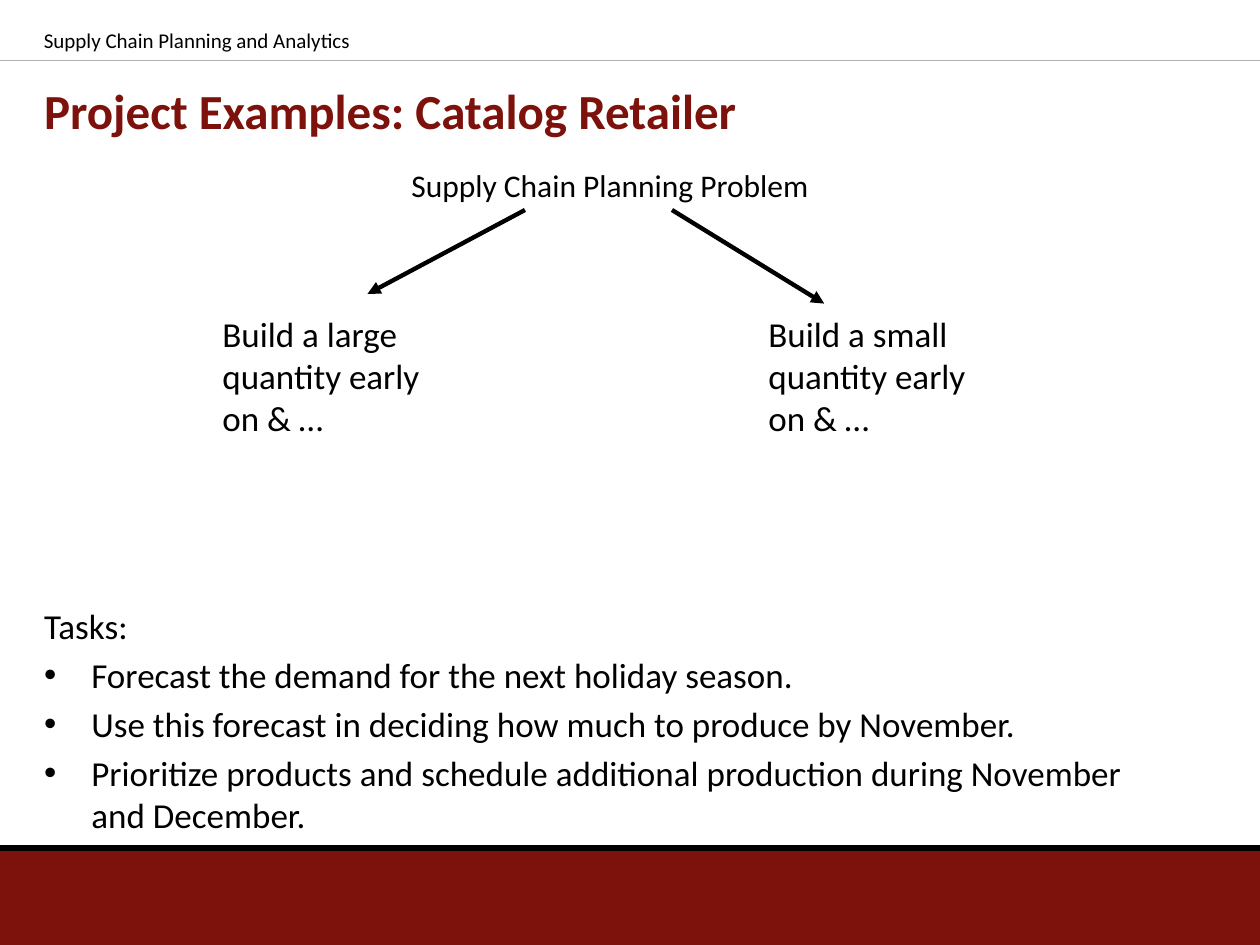
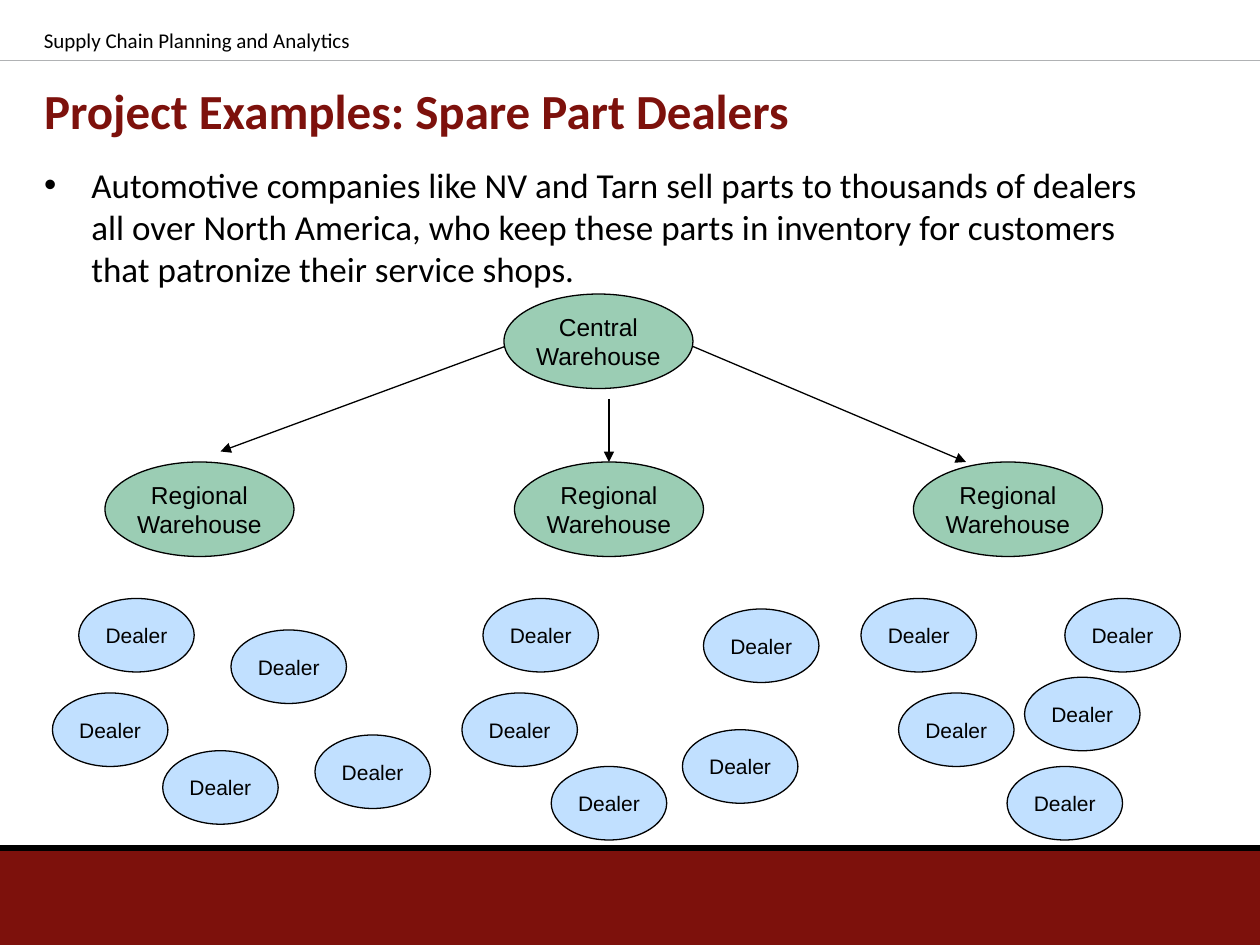
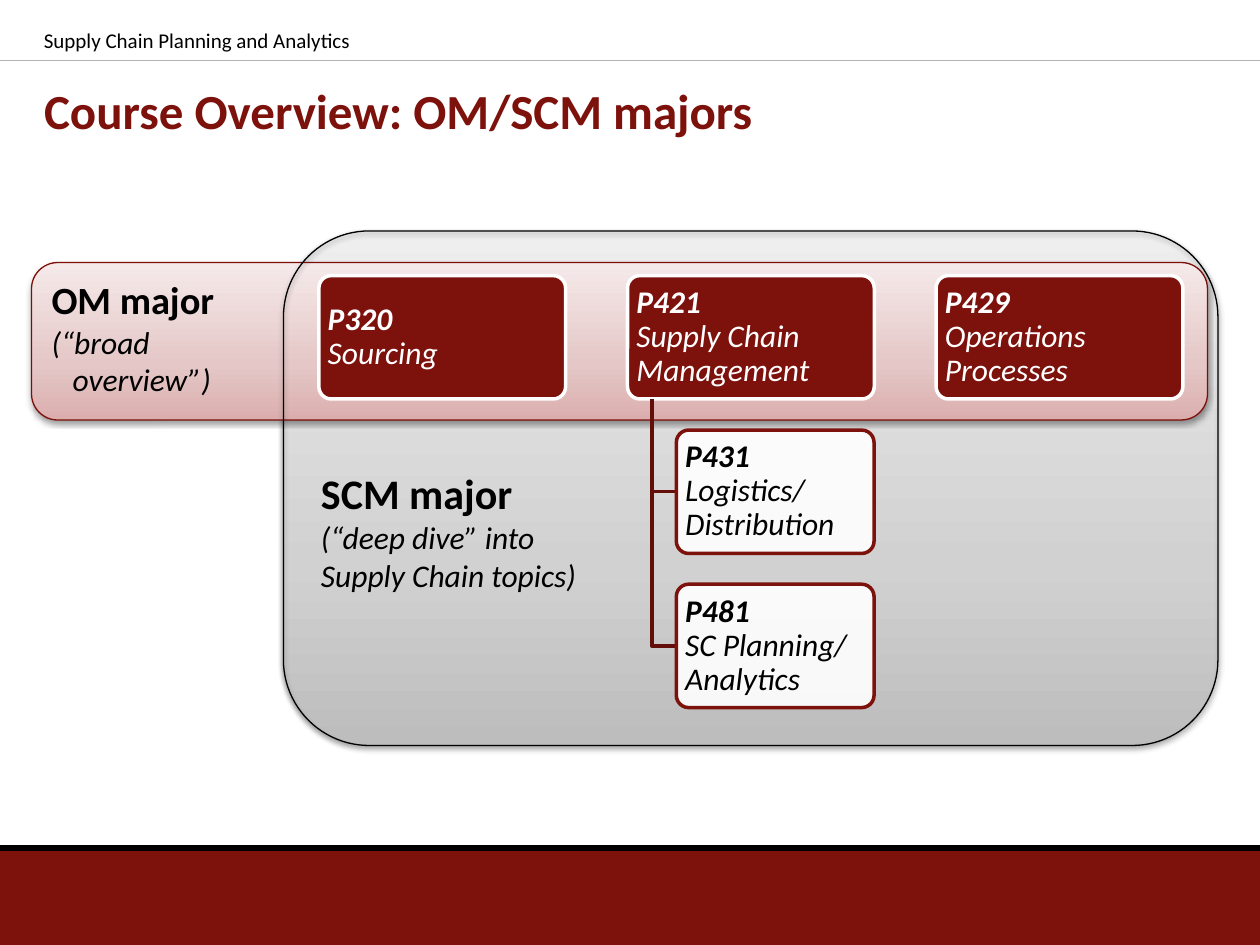
from dataclasses import dataclass

from pptx import Presentation
from pptx.dml.color import RGBColor
from pptx.enum.shapes import MSO_CONNECTOR as Line, MSO_SHAPE as Kind
from pptx.enum.text import MSO_ANCHOR as Anchor, MSO_AUTO_SIZE as Fit, PP_ALIGN as Align
from pptx.oxml.ns import qn
from pptx.util import Pt
from lxml.etree import SubElement


@dataclass(frozen=True)
class Theme:
    text_font: str = "Calibri"
    diagram_font: str = "Arial"
    black: str = "000000"
    white: str = "FFFFFF"
    crimson: str = "7D110C"
    crimson_edge: str = "7D0E09"
    crimson_link: str = "640E0A"
    rule: str = "B0B2B4"
    warehouse: str = "339966"
    dealer: str = "99CCFF"
    grey_blend: tuple = ((0, "BDBDBD"), (35, "D1D1D1"), (100, "EEEEEE"))
    pink_blend: tuple = ((0, "DBAEAE"), (35, "E5C7C7"), (100, "F5E9E9"))
    title_size: int = 28
    scm_size: int = 24
    om_size: int = 22
    body_size: int = 20
    note_size: int = 18
    warehouse_size: int = 14
    small_size: int = 12


def assign(target, values):
    for name, value in values.items():
        setattr(target, name, value)


def place(shape, left, top, width, height):
    assign(shape, {"left": Pt(left), "top": Pt(top), "width": Pt(width), "height": Pt(height)})


class Deck:
    def __init__(self, theme):
        self.theme = theme
        self.deck = Presentation()
        assign(self.deck, {"slide_width": Pt(720), "slide_height": Pt(540)})
        self.page = None

    def add_page(self, title, has_list=False):
        theme = self.theme
        self.page = self.deck.slides.add_slide(self.deck.slide_layouts[1 if has_list else 5])
        if len(self.deck.slides) == 1:
            self.add_master_bands()
        heading = self.page.shapes.title
        place(heading, 18, 42, 661.5, 42)
        self.fill_text(heading.text_frame, [title], {"vertical_anchor": Anchor.MIDDLE, "auto_size": Fit.NONE},
                       size=theme.title_size, color=theme.crimson, bold=True)
        self.add_text("Supply Chain Planning and Analytics", (18, 12, 390, 24), theme.small_size)

    def add_master_bands(self):
        theme = self.theme
        bands = [
            self.add_box(Kind.RECTANGLE, (0, 486, 720, 54), fill=theme.crimson),
            self.add_line((0, 34.75), (720, 34.75), theme.rule, 0.75),
            self.add_line((0, 484.5), (720, 484.5), theme.black, 3.75),
        ]
        for number, band in enumerate(bands, start=10):
            band.element.xpath(".//p:cNvPr")[0].set("id", str(number))
            self.deck.slide_master.element.cSld.spTree.append(band.element)

    def fill_text(self, frame, lines, frame_values=None, align=Align.LEFT, spacing=None, **look):
        theme = self.theme
        base = {"name": theme.text_font, "color": theme.black, **look}
        assign(frame, {"word_wrap": True, **(frame_values or {})})
        for index, line in enumerate(lines):
            text, changes = (line, {}) if isinstance(line, str) else line
            values = {**base, **changes}
            para = frame.add_paragraph() if index else frame.paragraphs[0]
            para.alignment = align
            if spacing:
                para.line_spacing = spacing
            span = para.add_run()
            span.text = text
            span.font.color.rgb = RGBColor.from_string(values.pop("color"))
            values["size"] = Pt(values["size"])
            assign(span.font, values)

    def indent(self, para, points):
        properties = para._p.get_or_add_pPr()
        properties.set("marL", str(Pt(points)))
        properties.set("indent", "0")
        return properties

    def add_text(self, text, area, size, wrap=True, fit=Fit.NONE):
        box = self.page.shapes.add_textbox(*map(Pt, area))
        self.fill_text(box.text_frame, [text], {"word_wrap": wrap, "auto_size": fit}, size=size)

    def add_list(self, lines, area, has_lead=False):
        body = self.page.placeholders[1]
        place(body, *area)
        self.fill_text(body.text_frame, lines, {"auto_size": Fit.NONE}, size=self.theme.body_size)
        if has_lead:
            SubElement(self.indent(body.text_frame.paragraphs[0], 0), qn("a:buNone"))

    def add_box(self, kind, area, fill=None, alpha=None, blend=None, edge=None, weight=0.75,
                corner=None, shadow=False):
        box = self.page.shapes.add_shape(kind, *map(Pt, area))
        self.paint(box, fill, alpha, blend)
        self.outline(box.line, edge, weight)
        box.shadow.inherit = False
        if corner:
            box.adjustments[0] = corner
        if shadow:
            effects = box.element.spPr.find(qn("a:effectLst"))
            outer = SubElement(effects, qn("a:outerShdw"), blurRad="40000", dist="20000",
                               dir="5400000", rotWithShape="0")
            color = SubElement(outer, qn("a:srgbClr"), val=self.theme.black)
            SubElement(color, qn("a:alpha"), val="38000")
        return box

    def paint(self, box, fill, alpha, blend):
        if blend:
            box.fill.gradient()
            box.fill.gradient_angle = 90
            stops = next(box.element.spPr.iter(qn("a:gsLst")))
            for stop in list(stops):
                stops.remove(stop)
            for position, color in blend:
                stop = SubElement(stops, qn("a:gs"), pos=str(position * 1000))
                SubElement(stop, qn("a:srgbClr"), val=color)
        elif fill:
            box.fill.solid()
            box.fill.fore_color.rgb = RGBColor.from_string(fill)
            if alpha:
                color = next(box.element.spPr.iter(qn("a:srgbClr")))
                SubElement(color, qn("a:alpha"), val=str(alpha * 1000))
        else:
            box.fill.background()

    def outline(self, line, color, weight):
        if color:
            line.color.rgb = RGBColor.from_string(color)
            line.width = Pt(weight)
        else:
            line.fill.background()

    def add_line(self, start, end, color, weight, arrow=False):
        line = self.page.shapes.add_connector(Line.STRAIGHT, *map(Pt, start + end))
        self.outline(line.line, color, weight)
        if arrow:
            SubElement(line.element.spPr.find(qn("a:ln")), qn("a:tailEnd"), type="triangle")
        SubElement(line.element.spPr, qn("a:effectLst"))
        return line

    def add_arrow(self, start, end, weight=0.75):
        return self.add_line(start, end, self.theme.black, weight, arrow=True)

    def add_oval(self, lines, area, fill, alpha, size):
        oval = self.add_box(Kind.OVAL, area, fill, alpha, edge=self.theme.black)
        self.fill_text(oval.text_frame, lines, {"word_wrap": False, "vertical_anchor": Anchor.MIDDLE},
                       align=Align.CENTER, size=size, name=self.theme.diagram_font)
        return oval

    def add_warehouse(self, rank, left, top):
        theme = self.theme
        return self.add_oval([rank, "Warehouse"], (left, top, 108, 54), theme.warehouse, 49,
                             theme.warehouse_size)

    def add_dealer(self, left, top):
        theme = self.theme
        self.add_oval(["Dealer"], (left, top, 66, 42), theme.dealer, 60, theme.small_size)

    def add_course(self, code, name, area, fill, edge, color, alpha=None):
        course = self.add_box(Kind.ROUNDED_RECTANGLE, area, fill, alpha, edge=edge, weight=2, corner=0.1)
        margins = {"margin_left": Pt(3), "margin_right": Pt(3), "margin_top": Pt(2), "margin_bottom": Pt(2)}
        self.fill_text(course.text_frame, [(code, {"bold": True}), *name],
                       {"vertical_anchor": Anchor.MIDDLE, **margins}, spacing=0.9,
                       size=self.theme.note_size, color=color, italic=True)

    def add_elbow(self, start, corner, end):
        builder = self.page.shapes.build_freeform(*map(Pt, start))
        builder.add_line_segments([tuple(map(Pt, corner)), tuple(map(Pt, end))], close=False)
        elbow = builder.convert_to_shape()
        elbow.fill.background()
        self.outline(elbow.line, self.theme.crimson_link, 2)
        elbow.shadow.inherit = False


def build_retailer(deck):
    theme = deck.theme
    deck.add_page("Project Examples: Catalog Retailer", has_list=True)
    deck.add_text("Supply Chain Planning Problem", (228, 91.5, 249, 29), theme.note_size,
                  wrap=False, fit=Fit.SHAPE_TO_FIT_TEXT)
    for quantity, left in (("large", 120), ("small", 432)):
        deck.add_text(f"Build a {quantity} quantity early on & …", (left, 175, 151, 80),
                      theme.body_size, fit=Fit.SHAPE_TO_FIT_TEXT)
    deck.add_arrow((300, 120), (210, 168), 2.5)
    deck.add_arrow((384, 120), (471, 173.5), 2.5)
    deck.add_list([
        "Tasks:",
        "Forecast the demand for the next holiday season.",
        "Use this forecast in deciding how much to produce by November.",
        "Prioritize products and schedule additional production during November and December.",
    ], (18, 342, 661.5, 121.5), has_lead=True)


def build_dealers(deck):
    deck.add_page("Project Examples: Spare Part Dealers", has_list=True)
    deck.add_list([
        "Automotive companies like NV and Tarn sell parts to thousands of dealers all over North America, "
        "who keep these parts in inventory for customers that patronize their service shops.",
    ], (18, 90, 661.5, 373.5))
    deck.add_warehouse("Central", 288, 168)
    regions = [deck.add_warehouse("Regional", left, 264) for left in (60, 294, 522)]
    deck.add_arrow((288.5, 198), (126, 258))
    deck.add_arrow((348, 228), (348, 264)).end_connect(regions[1], 0)
    deck.add_arrow((396, 198), (552, 264))
    dealers = [
        (93, 429), (30, 396), (132, 360), (180, 420), (45, 342),
        (315, 438), (264, 396), (402, 348), (390, 417), (276, 342),
        (575.5, 438), (513.5, 396), (608.5, 342), (585.5, 387), (492, 342),
    ]
    for left, top in dealers:
        deck.add_dealer(left, top)


def build_majors(deck):
    theme = deck.theme
    note = {"size": theme.note_size, "italic": True, "bold": False}
    deck.add_page("Course Overview: OM/SCM majors")

    scm_area = (162, 132, 534, 294)
    scm = deck.add_box(Kind.ROUNDED_RECTANGLE, scm_area, blend=theme.grey_blend, shadow=True)
    deck.fill_text(scm.text_frame, ["SCM major", ("(“deep dive” into", note), ("Supply Chain topics)", note)],
                   {"vertical_anchor": Anchor.TOP, "margin_top": Pt(121)}, size=theme.scm_size, bold=True)

    om = deck.add_box(Kind.ROUNDED_RECTANGLE, (18, 150, 672, 90), blend=theme.pink_blend,
                      edge=theme.crimson_edge, shadow=True)
    deck.fill_text(om.text_frame, ["OM major", ("(“broad", note), ("overview”)", note)],
                   {"vertical_anchor": Anchor.TOP}, size=theme.om_size, bold=True)
    deck.indent(om.text_frame.paragraphs[2], 12)

    core_left, core_top, core_pitch, core_width, height = 182.25, 157.5, 176.35, 141, 70.5
    core = [("P320", ["Sourcing"]), ("P421", ["Supply Chain Management"]), ("P429", ["Operations Processes"])]
    for index, (code, name) in enumerate(core):
        area = (core_left + index * core_pitch, core_top, core_width, height)
        deck.add_course(code, name, area, theme.crimson, theme.white, theme.white)

    trunk, branch_left = 372.5, 386.5
    branches = [("P431", ["Logistics/", "Distribution"]), ("P481", ["SC Planning/ Analytics"])]
    for index, (code, name) in enumerate(branches):
        top = 245.75 + index * 88.1
        middle = top + height / 2
        deck.add_elbow((trunk, core_top + height), (trunk, middle), (branch_left, middle))
        deck.add_course(code, name, (branch_left, top, 113, height), theme.white, theme.crimson,
                        theme.black, alpha=90)

    deck.add_box(Kind.ROUNDED_RECTANGLE, scm_area, edge=theme.black, shadow=True)


def main():
    deck = Deck(Theme())
    build_retailer(deck)
    build_dealers(deck)
    build_majors(deck)
    deck.deck.save("out.pptx")


if __name__ == "__main__":
    main()
